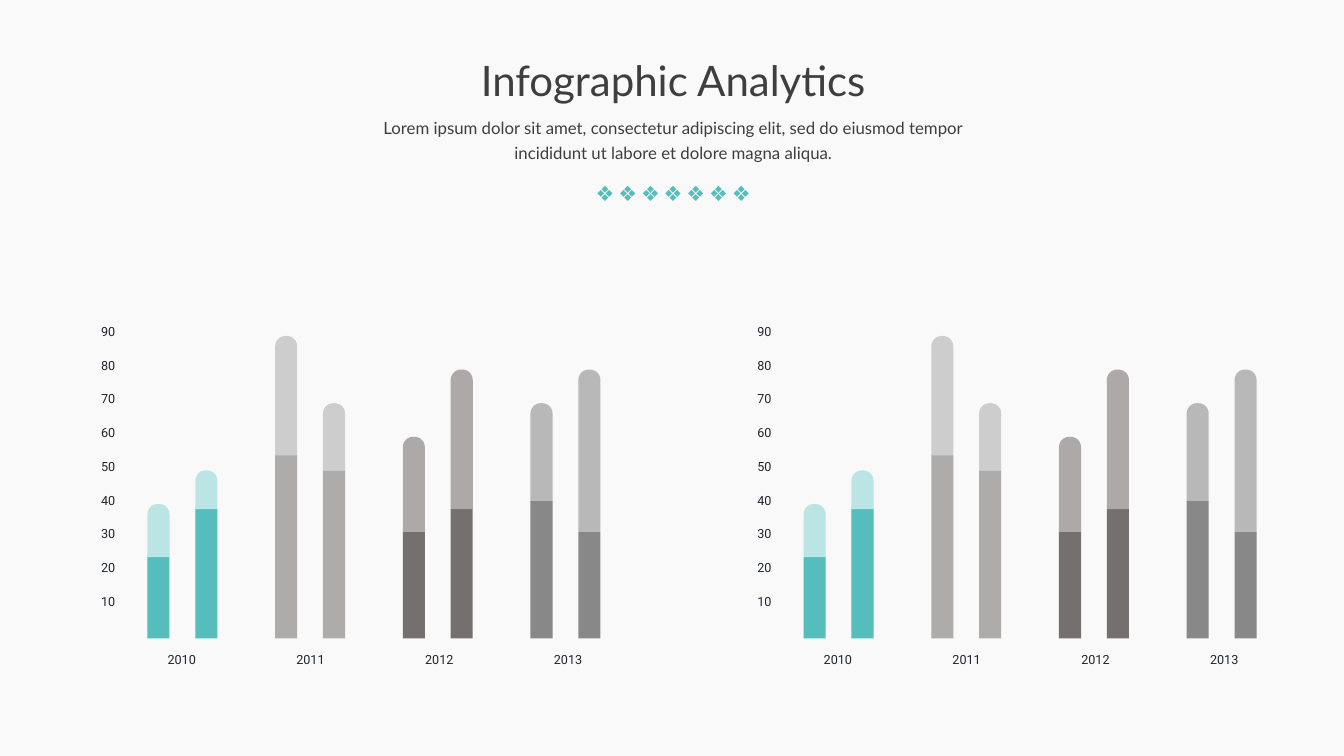
"""Build the Infographic Analytics slide with two panels of paired stacked bars."""
from pptx import Presentation
from pptx import util as u
from pptx.dml.color import RGBColor
from pptx.enum import shapes, text

BACKGROUND = RGBColor(0xF9, 0xF9, 0xF9)
HEADING = RGBColor(0x3E, 0x3E, 0x3E)
LABEL = RGBColor(0x1E, 0x25, 0x2E)
TEAL = RGBColor(0x56, 0xBD, 0xBD)
PALE_TEAL = RGBColor(0xBB, 0xE5, 0xE5)
SILVER = RGBColor(0xAE, 0xAB, 0xAB)
PALE_SILVER = RGBColor(0xCE, 0xCD, 0xCD)
UMBER = RGBColor(0x75, 0x70, 0x70)
PALE_UMBER = RGBColor(0xAD, 0xA9, 0xA9)
GREY = RGBColor(0x88, 0x88, 0x88)
PALE_GREY = RGBColor(0xB8, 0xB8, 0xB8)

TITLE = "Infographic Analytics"
SUBTITLE = ("Lorem ipsum dolor sit amet, consectetur adipiscing elit, sed do "
            "eiusmod tempor incididunt ut labore et dolore magna aliqua.")
ORNAMENT, ORNAMENT_COUNT = "❖", 7
# year, lower colour, upper colour, (lower value, total) for each bar
YEARS = [
    ("2010", TEAL, PALE_TEAL, [(24.2, 40), (38.5, 50)]),
    ("2011", SILVER, PALE_SILVER, [(54.5, 90), (50, 70)]),
    ("2012", UMBER, PALE_UMBER, [(31.7, 60), (38.5, 80)]),
    ("2013", GREY, PALE_GREY, [(40.9, 70), (31.7, 80)]),
]
TICKS = range(10, 100, 10)

PANEL_LEFTS = (0, 468.7)
BASELINE, UNIT = 456, 2.4
BAR_LEFT, BAR_WIDTH, BAR_STEP, YEAR_STEP = 105.3, 15.8, 34.2, 91.2
YEAR_LEFT, YEAR_TOP, YEAR_LABEL_STEP = 107.8, 462.2, 92
TICK_LEFT, TICK_TOP, TICK_STEP = 61.8, 420.5, 24.1
ORNAMENT_LEFT, ORNAMENT_STEP = 425.5, 16.2
CENTER, LEFT = text.PP_ALIGN.CENTER, text.PP_ALIGN.LEFT


def add_text(parent, words, box, font, size, color, align=CENTER,
             wrap=False, inset=True, spacing=None):
    """Add one paragraph in a text box."""
    sp = parent.add_textbox(*map(u.Pt, box))
    tf = sp.text_frame
    tf.word_wrap = wrap
    tf.auto_size = text.MSO_AUTO_SIZE.SHAPE_TO_FIT_TEXT
    if not inset:
        tf.margin_left = tf.margin_right = tf.margin_top = tf.margin_bottom = 0
    p = tf.paragraphs[0]
    p.text = words
    p.alignment = align
    if spacing:
        p.line_spacing = spacing
    p.font.name, p.font.size = font, u.Pt(size)
    p.font.color.rgb = color
    return tf


def add_bar(parent, kind, left, low, high, color):
    """Add one bar segment between two axis values."""
    sp = parent.add_shape(kind, u.Pt(left), u.Pt(BASELINE - high * UNIT),
                          u.Pt(BAR_WIDTH), u.Pt((high - low) * UNIT))
    sp.shadow.inherit = False
    sp.fill.solid()
    sp.fill.fore_color.rgb = color
    sp.line.fill.background()
    return sp


def add_panel(parent, x):
    """Add the bars, year labels and axis labels of one panel."""
    for i, (year, dark, pale, bars) in enumerate(YEARS):
        for j, (low, total) in enumerate(bars):
            left = x + BAR_LEFT + i * YEAR_STEP + j * BAR_STEP
            add_bar(parent, shapes.MSO_SHAPE.RECTANGLE, left, 0, low, dark)
            top = add_bar(parent, shapes.MSO_SHAPE.ROUND_2_SAME_RECTANGLE,
                          left, low, total, pale)
            top.adjustments[0] = 0.47
        add_text(parent, year, (x + YEAR_LEFT + i * YEAR_LABEL_STEP, YEAR_TOP, 44, 22),
                 "Roboto", 9, LABEL)
    for i, tick in enumerate(TICKS):
        add_text(parent, str(tick), (x + TICK_LEFT, TICK_TOP - i * TICK_STEP, 31, 22),
                 "Roboto", 9, LABEL)


def main():
    """Assemble and save the slide."""
    prs = Presentation()
    prs.slide_width, prs.slide_height = u.Pt(960), u.Pt(540)
    s = prs.slides.add_slide(prs.slide_layouts[6])
    s.background.fill.solid()
    s.background.fill.fore_color.rgb = BACKGROUND
    for x in PANEL_LEFTS:
        add_panel(s.shapes.add_group_shape().shapes, x)
    tf = add_text(s.shapes, TITLE, (338.4, 38.9, 285, 34.6), "Lato", 30, HEADING,
                  inset=False, spacing=u.Pt(37))
    tf.vertical_anchor = text.MSO_ANCHOR.MIDDLE
    add_text(s.shapes, SUBTITLE, (265, 80.6, 432, 34.6), "Lato", 12, HEADING,
             wrap=True, inset=False, spacing=1.25)
    row = s.shapes.add_group_shape().shapes
    for i in range(ORNAMENT_COUNT):
        add_text(row, ORNAMENT, (ORNAMENT_LEFT + i * ORNAMENT_STEP, 128.9, 13.7, 18),
                 "Calibri", 15, TEAL, align=LEFT, inset=False)
    prs.save("out.pptx")


if __name__ == "__main__":
    main()
